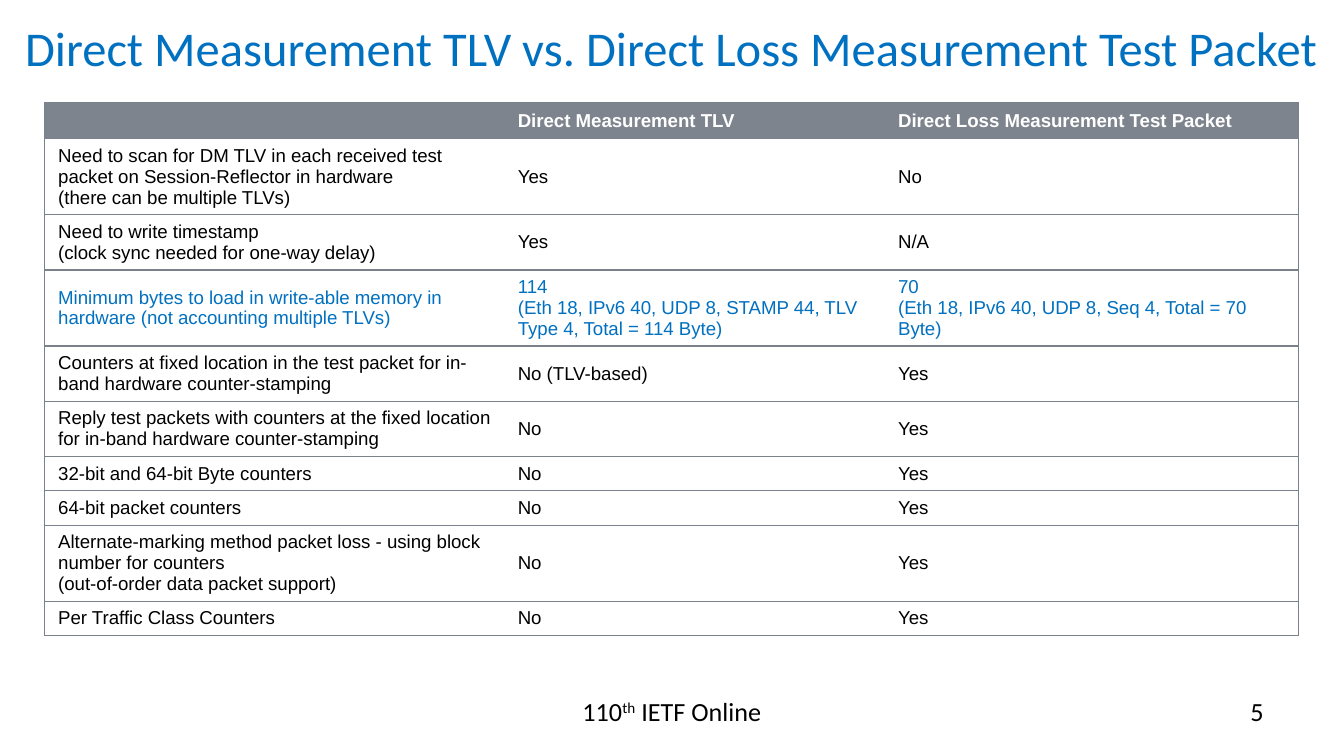
from dataclasses import dataclass

from lxml import etree
from pptx import Presentation
from pptx.dml.color import RGBColor
from pptx.enum.text import MSO_ANCHOR, PP_ALIGN
from pptx.oxml.ns import qn
from pptx.util import Emu, Inches, Pt

MIDDLE = MSO_ANCHOR.MIDDLE
CENTER, RIGHT = PP_ALIGN.CENTER, PP_ALIGN.RIGHT

BLUE = RGBColor(0x00, 0x70, 0xC0)
GRAY = RGBColor(0x7B, 0x81, 0x8A)
HEADER_GRAY = RGBColor(0x7E, 0x84, 0x8D)
BLACK = RGBColor(0x00, 0x00, 0x00)
WHITE = RGBColor(0xFF, 0xFF, 0xFF)

SLIDE_W = Inches(10)
SLIDE_H = Emu(SLIDE_W * 9 // 16)
UNIT = SLIDE_W / 100
COLUMN_SPANS = (34.2, 28.3, 30.8)
CELL_PADDING = 1
LINE_SPAN = 1.55


@dataclass(frozen=True)
class Box:
    col: float
    row: float
    cols: float
    rows: float

    def emu(self) -> tuple[Emu, ...]:
        return tuple(span(n) for n in (self.col, self.row, self.cols, self.rows))


@dataclass(frozen=True)
class Style:
    font: str
    size: float
    color: RGBColor
    bold: bool = False


@dataclass(frozen=True)
class Row:
    criterion: str
    tlv: str
    test_packet: str
    lines: int = 1
    color: RGBColor = BLACK
    header: bool = False


ROWS = (
    Row("", "Direct Measurement TLV", "Direct Loss Measurement Test Packet",
        color=WHITE, header=True),
    Row("Need to scan for DM TLV in each received test packet on Session-Reflector in hardware\n"
        "(there can be multiple TLVs)", "Yes", "No", 3),
    Row("Need to write timestamp\n(clock sync needed for one-way delay)", "Yes", "N/A", 2),
    Row("Minimum bytes to load in write-able memory in hardware (not accounting multiple TLVs)",
        "114\n(Eth 18, IPv6 40, UDP 8, STAMP 44, TLV Type 4, Total = 114 Byte)",
        "70\n(Eth 18, IPv6 40, UDP 8, Seq 4, Total = 70 Byte)", 3, BLUE),
    Row("Counters at fixed location in the test packet for in-band hardware counter-stamping",
        "No (TLV-based)", "Yes", 2),
    Row("Reply test packets with counters at the fixed location for in-band hardware "
        "counter-stamping", "No", "Yes", 2),
    Row("32-bit and 64-bit Byte counters", "No", "Yes"),
    Row("64-bit packet counters", "No", "Yes"),
    Row("Alternate-marking method packet loss - using block number for counters\n"
        "(out-of-order data packet support)", "No", "Yes", 3),
    Row("Per Traffic Class Counters", "No", "Yes"),
)


def span(n: float) -> Emu:
    return Emu(round(n * UNIT))


def add_run(p, text: str, style: Style):
    r = p.add_run()
    r.text = text
    r.font.name, r.font.size, r.font.bold = style.font, Pt(style.size), style.bold
    r.font.color.rgb = style.color
    return r


def add_title(s, text: str, box: Box) -> None:
    sp = s.shapes.title
    sp.left, sp.top, sp.width, sp.height = box.emu()
    tf = sp.text_frame
    tf.word_wrap, tf.vertical_anchor = True, MIDDLE
    tf.margin_left = tf.margin_right = span(0.5)
    p = tf.paragraphs[0]
    p.alignment = CENTER
    add_run(p, text, Style("Calibri", 26, BLUE))


def add_footer(s, box: Box, align: PP_ALIGN, parts: tuple[tuple[str, int], ...]) -> None:
    tf = s.shapes.add_textbox(*box.emu()).text_frame
    tf.word_wrap = True
    p = tf.paragraphs[0]
    p.alignment = align
    for text, rise in parts:
        r = add_run(p, text, Style("Calibri", 14, BLACK))
        if rise:
            r.font._element.set("baseline", str(rise * 1000))


def set_borders(cell, first: bool, last: bool) -> None:
    tc_pr = cell._tc.get_or_add_tcPr()
    sides = (("a:lnL", first), ("a:lnR", last), ("a:lnT", True), ("a:lnB", True))
    for i, (tag, visible) in enumerate(sides):
        ln = etree.Element(qn(tag), w=str(Pt(0.75) if visible else 0))
        fill = etree.SubElement(ln, qn("a:solidFill" if visible else "a:noFill"))
        if visible:
            etree.SubElement(fill, qn("a:srgbClr"), val=str(GRAY))
        tc_pr.insert(i, ln)


def fill_cell(cell, text: str, row: Row) -> None:
    cell.vertical_anchor = MIDDLE
    cell.fill.solid()
    cell.fill.fore_color.rgb = HEADER_GRAY if row.header else WHITE
    style = Style("Arial", 10, row.color, row.header)
    tf = cell.text_frame
    for i, line in enumerate(text.split("\n")):
        p = tf.paragraphs[0] if i == 0 else tf.add_paragraph()
        p.font.size = Pt(style.size)
        if line:
            add_run(p, line, style)


def add_comparison(s, col: float, top: float) -> None:
    heights = [CELL_PADDING + LINE_SPAN * row.lines for row in ROWS]
    box = Box(col, top, sum(COLUMN_SPANS), sum(heights))
    table = s.shapes.add_table(len(ROWS), len(COLUMN_SPANS), *box.emu()).table
    table.horz_banding = False
    for column, width in zip(table.columns, COLUMN_SPANS):
        column.width = span(width)
    last = len(COLUMN_SPANS) - 1
    for i, (row, height) in enumerate(zip(ROWS, heights)):
        table.rows[i].height = span(height)
        for j, text in enumerate((row.criterion, row.tlv, row.test_packet)):
            cell = table.cell(i, j)
            fill_cell(cell, text, row)
            set_borders(cell, j == 0, j == last)


def main() -> None:
    prs = Presentation()
    prs.slide_width, prs.slide_height = SLIDE_W, SLIDE_H
    s = prs.slides.add_slide(prs.slide_layouts[5])
    add_title(s, "Direct Measurement TLV vs. Direct Loss Measurement Test Packet",
              Box(0, 0, 100, 7))
    add_comparison(s, 3.33, 7.64)
    add_footer(s, Box(34.15, 51.25, 31.7, 3.9), CENTER,
               (("110", 0), ("th", 30), (" IETF Online", 0)))
    add_footer(s, Box(71.7, 51.25, 23.3, 3.9), RIGHT, (("5", 0),))
    prs.save("out.pptx")


if __name__ == "__main__":
    main()
